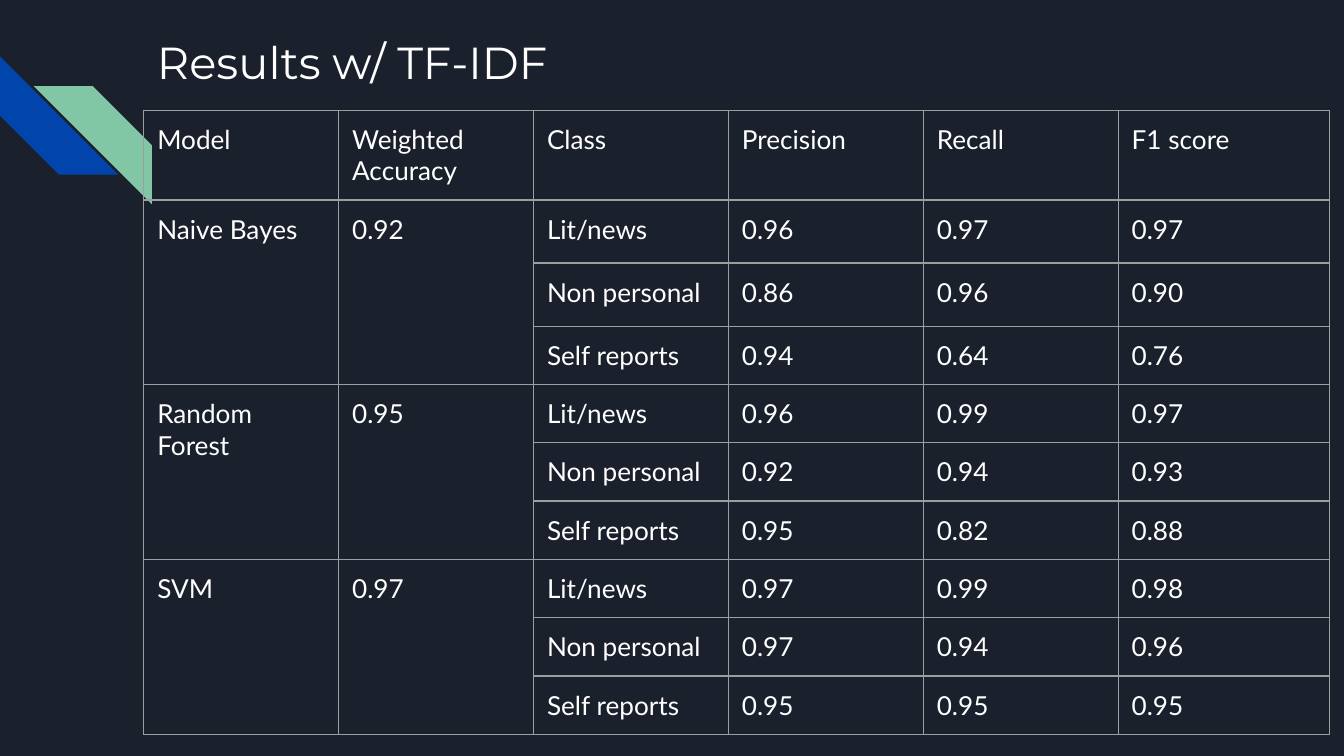
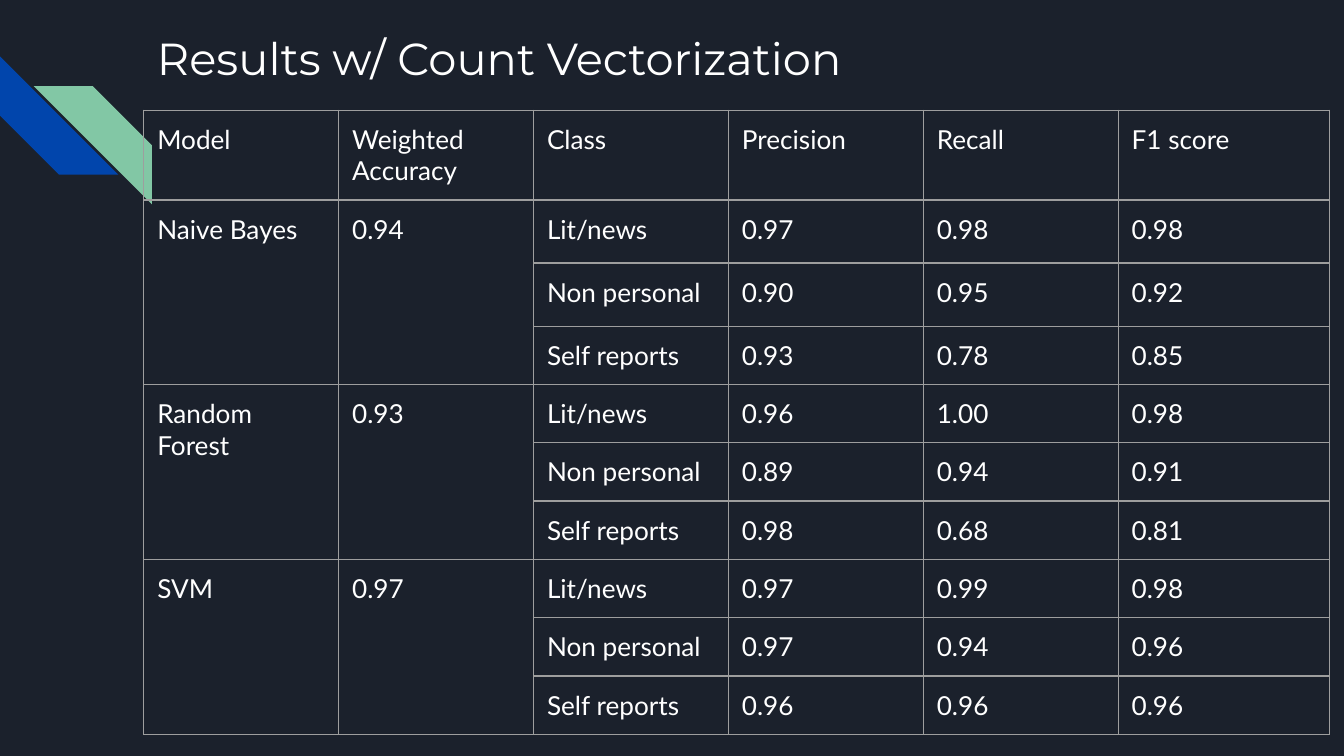
from dataclasses import dataclass

from lxml.etree import SubElement
from pptx import Presentation
from pptx.dml.color import RGBColor
from pptx.enum.shapes import MSO_SHAPE
from pptx.oxml.ns import qn
from pptx.slide import Slide
from pptx.table import _Cell
from pptx.text.text import TextFrame
from pptx.util import Inches, Pt


@dataclass(frozen=True)
class Theme:
    """Colours, fonts and sizes shared by every slide."""

    background: str = "1B212C"
    text: str = "FFFFFF"
    blue: str = "0145AC"
    green: str = "82C7A5"
    grid: str = "9E9E9E"
    title_font: str = "Montserrat"
    body_font: str = "Lato"
    title_size: int = 24
    body_size: int = 14
    grid_width: float = 0.75
    margin: float = 0.1


@dataclass(frozen=True)
class Stripe:
    """A decorative diagonal stripe in the left margin."""

    left: float
    top: float
    color: str
    rotation: int = 0
    mirrored: bool = False


@dataclass(frozen=True)
class ModelResult:
    """Accuracy of a model and its precision, recall and F1 per class."""

    model: str
    accuracy: str
    scores: tuple[tuple[str, str, str], ...]


@dataclass(frozen=True)
class ResultSlide:
    """Title and model results of one slide."""

    title: str
    title_top: float
    results: tuple[ModelResult, ...]


THEME = Theme()
SLIDE_WIDTH = Inches(10)
SLIDE_HEIGHT = SLIDE_WIDTH * 9 // 16
CONTENT_LEFT = 1.07
TABLE_TOP = 0.82
STRIPE_SIZE = 0.88
STRIPES = (
    Stripe(0, 0.42, THEME.blue, rotation=270),
    Stripe(0.25, 0.64, THEME.green, mirrored=True),
)
HEADERS = ("Model", "Weighted Accuracy", "Class", "Precision", "Recall", "F1 score")
CLASSES = ("Lit/news", "Non personal", "Self reports")
COLUMN_WIDTHS = (1.45,) * 5 + (1.57,)
ROW_HEIGHTS = (0.3, 0.47, 0.47) + (0.3,) * 7

SLIDES = (
    ResultSlide("Results w/ TF-IDF", 0.16, (
        ModelResult("Naive Bayes", "0.92", (
            ("0.96", "0.97", "0.97"), ("0.86", "0.96", "0.90"), ("0.94", "0.64", "0.76"))),
        ModelResult("Random Forest", "0.95", (
            ("0.96", "0.99", "0.97"), ("0.92", "0.94", "0.93"), ("0.95", "0.82", "0.88"))),
        ModelResult("SVM", "0.97", (
            ("0.97", "0.99", "0.98"), ("0.97", "0.94", "0.96"), ("0.95", "0.95", "0.95"))),
    )),
    ResultSlide("Results w/ Count Vectorization", 0.13, (
        ModelResult("Naive Bayes", "0.94", (
            ("0.97", "0.98", "0.98"), ("0.90", "0.95", "0.92"), ("0.93", "0.78", "0.85"))),
        ModelResult("Random Forest", "0.93", (
            ("0.96", "1.00", "0.98"), ("0.89", "0.94", "0.91"), ("0.98", "0.68", "0.81"))),
        ModelResult("SVM", "0.97", (
            ("0.97", "0.99", "0.98"), ("0.97", "0.94", "0.96"), ("0.96", "0.96", "0.96"))),
    )),
)


def write_text(frame: TextFrame, text: str, *, font: str = THEME.body_font,
               size: int = THEME.body_size, color: str = THEME.text) -> None:
    """Write one formatted run into a text frame."""
    run = frame.paragraphs[0].add_run()
    run.text = text
    run.font.name = font
    run.font.size = Pt(size)
    run.font.color.rgb = RGBColor.from_string(color)


def set_margins(holder: TextFrame | _Cell) -> None:
    """Give a text frame or cell the same inset on all sides."""
    for side in ("left", "right", "top", "bottom"):
        setattr(holder, f"margin_{side}", Inches(THEME.margin))


def draw_stripe(slide: Slide, stripe: Stripe) -> None:
    """Draw one diagonal stripe."""
    band = slide.shapes.add_shape(
        MSO_SHAPE.DIAGONAL_STRIPE, Inches(stripe.left), Inches(stripe.top),
        Inches(STRIPE_SIZE), Inches(STRIPE_SIZE))
    band.adjustments[0] = 0.5
    band.rotation = stripe.rotation
    if stripe.mirrored:
        band.element.spPr.find(qn("a:xfrm")).set("flipH", "1")
    band.shadow.inherit = False
    band.fill.solid()
    band.fill.fore_color.rgb = RGBColor.from_string(stripe.color)
    band.line.fill.background()


def draw_title(slide: Slide, title: str, top: float) -> None:
    """Draw the slide title."""
    heading = slide.shapes.add_textbox(
        Inches(CONTENT_LEFT), Inches(top), Inches(7.7), Inches(1))
    frame = heading.text_frame
    frame.word_wrap = True
    set_margins(frame)
    write_text(frame, title, font=THEME.title_font, size=THEME.title_size)


def style_cell(cell: _Cell) -> None:
    """Give a cell its grid lines, insets and clear fill."""
    set_margins(cell)
    properties = cell._tc.get_or_add_tcPr()
    for edge in ("a:lnL", "a:lnR", "a:lnT", "a:lnB"):
        line = SubElement(properties, qn(edge), w=str(Pt(THEME.grid_width)))
        fill = SubElement(line, qn("a:solidFill"))
        SubElement(fill, qn("a:srgbClr"), val=THEME.grid)
    cell.fill.background()


def draw_results(slide: Slide, results: tuple[ModelResult, ...]) -> None:
    """Draw the table with one block of class rows per model."""
    grid = slide.shapes.add_table(
        len(ROW_HEIGHTS), len(COLUMN_WIDTHS), Inches(CONTENT_LEFT), Inches(TABLE_TOP),
        Inches(sum(COLUMN_WIDTHS)), Inches(sum(ROW_HEIGHTS))).table
    grid.first_row = False
    grid.horz_banding = False
    for column, width in zip(grid.columns, COLUMN_WIDTHS):
        column.width = Inches(width)
    for row, height in zip(grid.rows, ROW_HEIGHTS):
        row.height = Inches(height)
    for cell in grid.iter_cells():
        style_cell(cell)

    for index, header in enumerate(HEADERS):
        write_text(grid.cell(0, index).text_frame, header)
    for block, result in enumerate(results):
        first = 1 + block * len(CLASSES)
        for index, text in enumerate((result.model, result.accuracy)):
            cell = grid.cell(first, index)
            cell.merge(grid.cell(first + len(CLASSES) - 1, index))
            write_text(cell.text_frame, text)
        for offset, (label, scores) in enumerate(zip(CLASSES, result.scores)):
            for index, text in enumerate((label, *scores), start=2):
                write_text(grid.cell(first + offset, index).text_frame, text)


def main() -> None:
    """Build and save the presentation."""
    deck = Presentation()
    deck.slide_width = SLIDE_WIDTH
    deck.slide_height = SLIDE_HEIGHT
    backdrop = deck.slide_master.background.fill
    backdrop.solid()
    backdrop.fore_color.rgb = RGBColor.from_string(THEME.background)
    for content in SLIDES:
        slide = deck.slides.add_slide(deck.slide_layouts[6])
        for stripe in STRIPES:
            draw_stripe(slide, stripe)
        draw_title(slide, content.title, content.title_top)
        draw_results(slide, content.results)
    deck.save("out.pptx")


if __name__ == "__main__":
    main()
